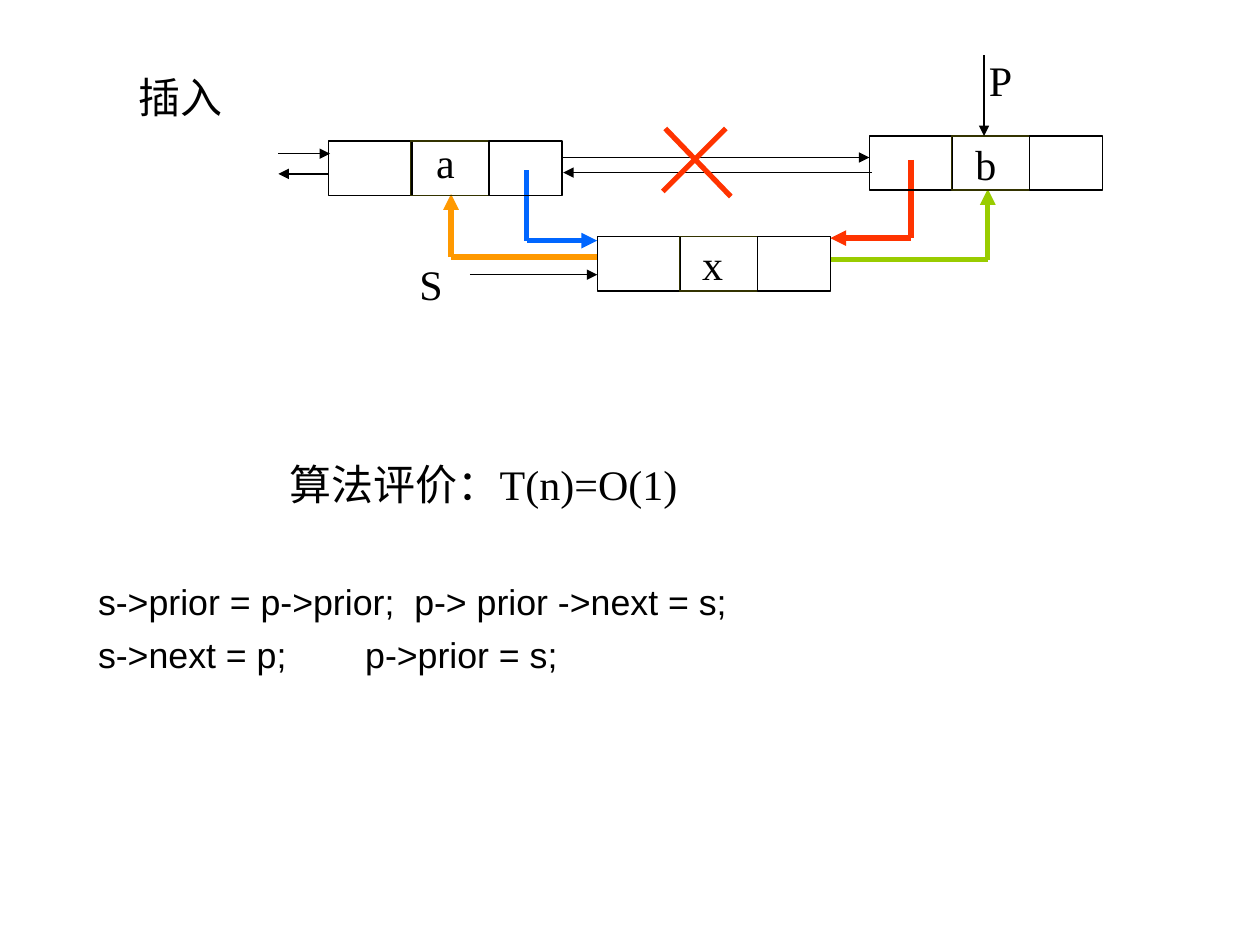
from dataclasses import dataclass
from itertools import pairwise

from lxml.etree import SubElement
from pptx import Presentation
from pptx.dml.color import RGBColor
from pptx.enum.shapes import MSO_CONNECTOR as Link, MSO_SHAPE as Shape
from pptx.enum.text import MSO_ANCHOR as Anchor, MSO_AUTO_SIZE as Fit, PP_ALIGN as Align
from pptx.oxml.ns import qn
from pptx.util import Inches, Pt


@dataclass(frozen=True)
class Theme:
    """Colours, fonts, type sizes and line widths."""
    ink: str = "000000"
    data_edge: str = "333300"
    blue: str = "0066FF"
    orange: str = "FF9900"
    green: str = "99CC00"
    red: str = "FF3300"
    serif: str = "Times New Roman"
    sans: str = "Arial"
    text_size: float = 24
    code_size: float = 20.4
    thin: float = 0.75
    thick: float = 3


def apply_format(target, values):
    """Set each named attribute on the target."""
    for name, value in values.items():
        setattr(target, name, value)


class Page:
    """Draws styled elements on the current slide."""

    def __init__(self, deck, theme):
        """Add a title-only slide to the deck."""
        self.theme = theme
        self.slide = deck.slides.add_slide(deck.slide_layouts[5])

    def place(self, box, left, top, width, height):
        """Move and size a box."""
        apply_format(box, {"left": Inches(left), "top": Inches(top),
                           "width": Inches(width), "height": Inches(height)})

    def fill_text(self, box, lines, font, size, frame_format, align=Align.LEFT, gap=0, tabs=()):
        """Fill a box with one styled paragraph per line."""
        frame = box.text_frame
        apply_format(frame, {"margin_left": Inches(0.1), "margin_right": Inches(0.1),
                             "margin_top": Inches(0.05), "margin_bottom": Inches(0.05),
                             "vertical_anchor": Anchor.TOP, "word_wrap": True,
                             "auto_size": Fit.NONE, **frame_format})
        for index, line in enumerate(lines):
            para = frame.add_paragraph() if index else frame.paragraphs[0]
            apply_format(para, {"alignment": align, "space_before": Pt(gap if index else 0)})
            if tabs:
                stops = SubElement(para._p.get_or_add_pPr(), qn("a:tabLst"))
                SubElement(stops, qn("a:tab"), pos=str(Inches(tabs[index])), algn="l")
            span = para.add_run()
            span.text = line
            apply_format(span.font, {"name": font, "size": Pt(size), "bold": False})
            span.font.color.rgb = RGBColor.from_string(self.theme.ink)

    def title(self, text, place, indent):
        """Move the title placeholder and set the heading."""
        box = self.slide.shapes.title
        self.place(box, *place)
        self.fill_text(box, [text], self.theme.serif, self.theme.text_size,
                       {"margin_left": Inches(indent)})

    def text(self, lines, place, font, size, indent=0.1, **options):
        """Add a wrapped text box."""
        box = self.slide.shapes.add_textbox(*map(Inches, place))
        self.fill_text(box, lines, font, size, {"margin_left": Inches(indent)}, **options)

    def label(self, text, left, top):
        """Add a centred one-letter label."""
        box = self.slide.shapes.add_textbox(*map(Inches, (left, top, 0.37, 0.5)))
        self.fill_text(box, [text], self.theme.serif, self.theme.text_size,
                       {"vertical_anchor": Anchor.MIDDLE, "word_wrap": False,
                        "auto_size": Fit.SHAPE_TO_FIT_TEXT}, Align.CENTER)

    def node(self, left, top):
        """Draw a list node: prior, data and next cells."""
        theme = self.theme
        cells = ((0, 0.66, theme.ink), (0.65, 0.62, theme.data_edge), (1.27, 0.58, theme.ink))
        for offset, width, colour in cells:
            cell = self.slide.shapes.add_shape(
                Shape.RECTANGLE, *map(Inches, (left + offset, top, width, 0.43)))
            cell.shadow.inherit = False
            cell.fill.background()
            cell.line.color.rgb = RGBColor.from_string(colour)
            cell.line.width = Pt(theme.thin)

    def route(self, points, colour, width, arrow=True):
        """Join points with straight lines, ending in an arrowhead."""
        for start, end in pairwise(points):
            line = self.slide.shapes.add_connector(Link.STRAIGHT, *map(Inches, start + end))
            line.line.color.rgb = RGBColor.from_string(colour)
            line.line.width = Pt(width)
            if arrow and end == points[-1]:
                SubElement(line.line._get_or_add_ln(), qn("a:tailEnd"), type="triangle")
            SubElement(line._element.spPr, qn("a:effectLst"))


def main():
    """Build the insertion slide for a doubly linked list."""
    deck = Presentation()
    apply_format(deck, {"slide_width": Inches(10), "slide_height": Inches(7.5)})
    theme = Theme()
    page = Page(deck, theme)

    page.title("插入", (0, 0.52, 9.3, 0.48), 1.1)
    page.text(["算法评价：T(n)=O(1)"], (0.7, 3.59, 9.3, 0.48),
              theme.serif, theme.text_size, indent=1.6)

    new_links = (
        (theme.blue, [(4.18, 1.35), (4.18, 1.91), (4.74, 1.91)]),
        (theme.orange, [(4.74, 2.04), (3.58, 2.04), (3.58, 1.54)]),
        (theme.green, [(6.59, 2.06), (7.84, 2.06), (7.84, 1.5)]),
        (theme.red, [(7.23, 1.27), (7.23, 1.89), (6.59, 1.89)]),
    )
    for colour, points in new_links:
        page.route(points, colour, theme.thick)

    for left, top in ((4.74, 1.88), (2.61, 1.12), (6.9, 1.08)):
        page.node(left, top)

    old_links = (
        [(3.73, 2.18), (4.74, 2.18)],
        [(2.21, 1.22), (2.62, 1.22)],
        [(2.61, 1.38), (2.21, 1.38)],
        [(4.47, 1.25), (6.9, 1.25)],
        [(6.92, 1.37), (4.47, 1.37)],
        [(7.81, 0.44), (7.81, 1.08)],
    )
    for points in old_links:
        page.route(points, theme.ink, theme.thin)

    for text, left, top in (("x", 5.47, 1.84), ("S", 3.23, 2), ("a", 3.35, 1.03),
                            ("b", 7.64, 1.05), ("P", 7.75, 0.38)):
        page.label(text, left, top)

    for stroke in ([(5.76, 1.02), (5.26, 1.52)], [(5.28, 1.02), (5.8, 1.56)]):
        page.route(stroke, theme.red, theme.thick, arrow=False)

    page.text(["s->prior = p->prior;\tp-> prior ->next = s;", "s->next = p;\tp->prior = s;"],
              (0.68, 4.55, 8.23, 1.19), theme.sans, theme.code_size,
              gap=6, tabs=(2.51, 2.12))
    deck.save("out.pptx")


if __name__ == "__main__":
    main()
